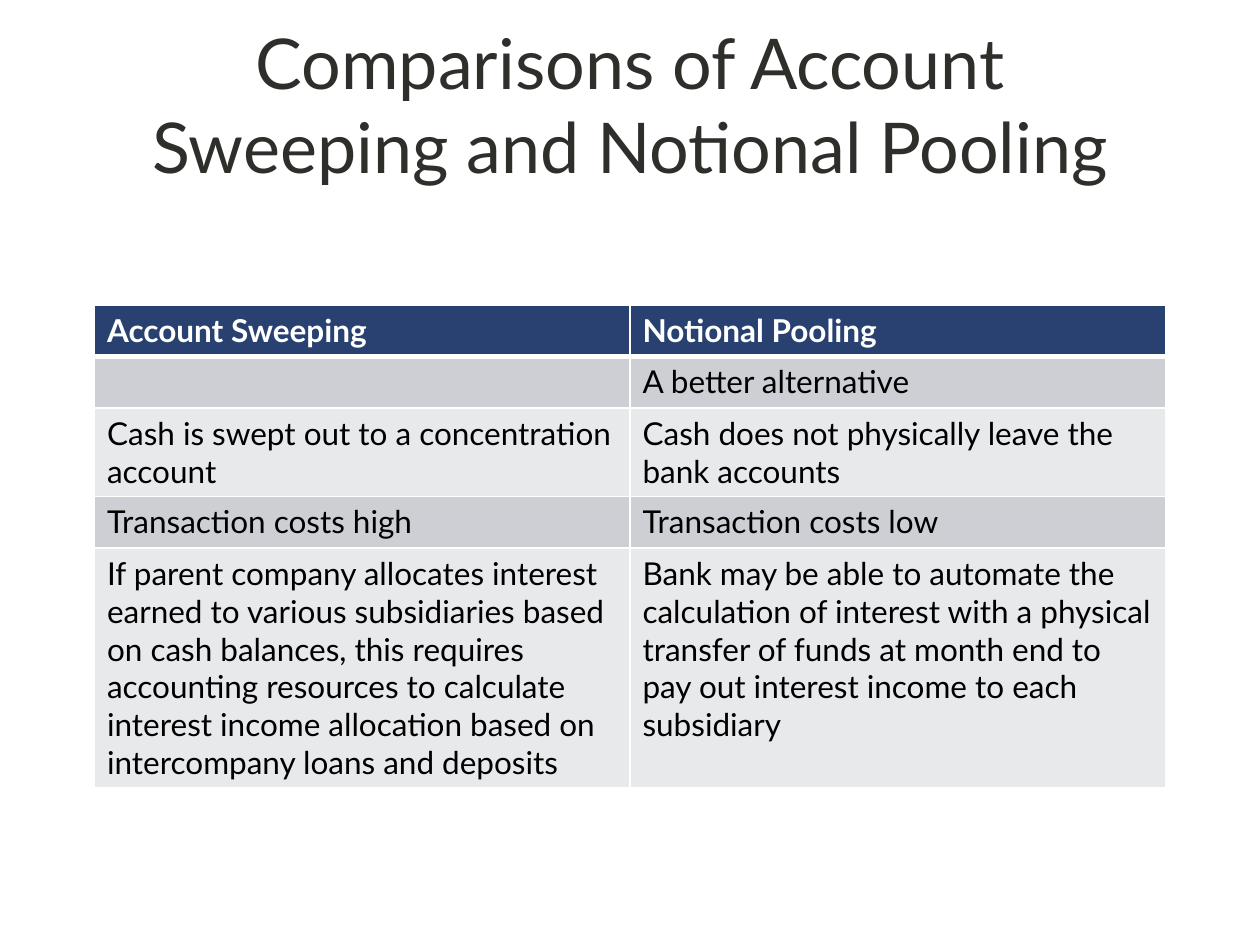
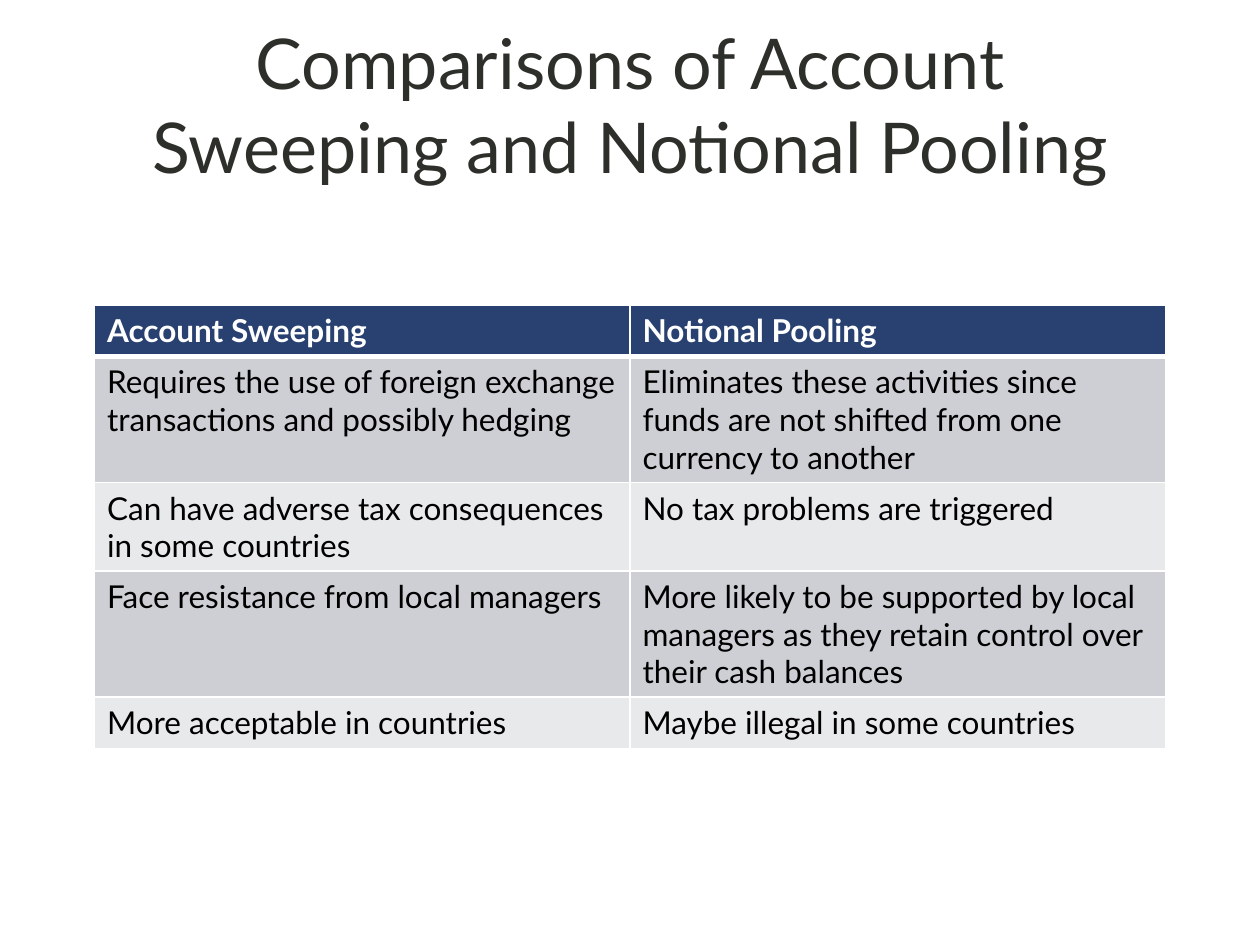
import pptx
import pptx.dml.color
import pptx.enum.text
import pptx.oxml.ns
import pptx.util
from lxml import etree

RGBColor = pptx.dml.color.RGBColor
WHITE = RGBColor(0xFF, 0xFF, 0xFF)
BLACK = RGBColor(0x00, 0x00, 0x00)
CHARCOAL = RGBColor(0x2D, 0x2F, 0x2B)
NAVY = RGBColor(0x29, 0x41, 0x71)
DARK_BAND = RGBColor(0xCD, 0xCF, 0xD5)
LIGHT_BAND = RGBColor(0xE8, 0xE9, 0xEB)

FONT = "Lato"
TITLE_FORMAT = {"name": FONT, "size": pptx.util.Pt(40), "color": CHARCOAL}
HEADER_FORMAT = {"name": FONT, "size": pptx.util.Pt(18), "bold": True, "color": WHITE}
BODY_FORMAT = HEADER_FORMAT | {"bold": False, "color": BLACK}

TITLE = "Comparisons of Account Sweeping and Notional Pooling"
HEADERS = ("Account Sweeping", "Notional Pooling")
COMPARISONS = [
    [
        ("", "A better alternative"),
        ("Cash is swept out to a concentration account",
         "Cash does not physically leave the bank accounts"),
        ("Transaction costs high", "Transaction costs low"),
        ("If parent company allocates interest earned to various subsidiaries "
         "based on cash balances, this requires accounting resources to calculate "
         "interest income allocation based on intercompany loans and deposits",
         "Bank may be able to automate the calculation of interest with a physical "
         "transfer of funds at month end to pay out interest income to each subsidiary"),
    ],
    [
        ("Requires the use of foreign exchange transactions and possibly hedging",
         "Eliminates these activities since funds are not shifted from one "
         "currency to another"),
        ("Can have adverse tax consequences in some countries",
         "No tax problems are triggered"),
        ("Face resistance from local managers",
         "More likely to be supported by local managers as they retain control "
         "over their cash balances"),
        ("More acceptable in countries", "Maybe illegal in some countries"),
    ],
]


def write_text(para, text, formats):
    span = para.add_run()
    span.text = text
    for name, value in formats.items():
        if name == "color":
            span.font.color.rgb = value
        else:
            setattr(span.font, name, value)


def add_borders(cell, widths):
    """Draw white cell borders; widths maps each side (L, R, T, B) to points."""
    properties = cell._tc.get_or_add_tcPr()
    for side, width in widths.items():
        line = etree.SubElement(properties, pptx.oxml.ns.qn(f"a:ln{side}"),
                                w=str(pptx.util.Pt(width)))
        fill = etree.SubElement(line, pptx.oxml.ns.qn("a:solidFill"))
        etree.SubElement(fill, pptx.oxml.ns.qn("a:srgbClr"), val=str(WHITE))


deck = pptx.Presentation()
deck.slide_width = pptx.util.Inches(10)
deck.slide_height = pptx.util.Inches(7.5)
blank_layout = deck.slide_layouts[6]

left = pptx.util.Inches(0.75)
content_width = deck.slide_width - 2 * left
row_height = pptx.util.Inches(0.41)

for comparison in COMPARISONS:
    page = deck.slides.add_slide(blank_layout)

    box = page.shapes.add_textbox(left, pptx.util.Inches(0.07),
                                  content_width, pptx.util.Inches(1.5))
    box.text_frame.word_wrap = True
    box.text_frame.vertical_anchor = pptx.enum.text.MSO_ANCHOR.MIDDLE
    title_para = box.text_frame.paragraphs[0]
    title_para.alignment = pptx.enum.text.PP_ALIGN.CENTER
    write_text(title_para, TITLE, TITLE_FORMAT)

    rows = [HEADERS, *comparison]
    table = page.shapes.add_table(len(rows), len(HEADERS), left, pptx.util.Inches(2.42),
                                  content_width, row_height * len(rows)).table
    for row, texts in enumerate(rows):
        if row == 0:
            band, formats = NAVY, HEADER_FORMAT
        else:
            band, formats = (DARK_BAND if row % 2 else LIGHT_BAND), BODY_FORMAT
        widths = {"L": 1, "R": 1, "T": 3 if row == 1 else 1, "B": 3 if row == 0 else 1}
        for column, text in enumerate(texts):
            cell = table.cell(row, column)
            add_borders(cell, widths)
            cell.fill.solid()
            cell.fill.fore_color.rgb = band
            if text:
                write_text(cell.text_frame.paragraphs[0], text, formats)

deck.save("out.pptx")
